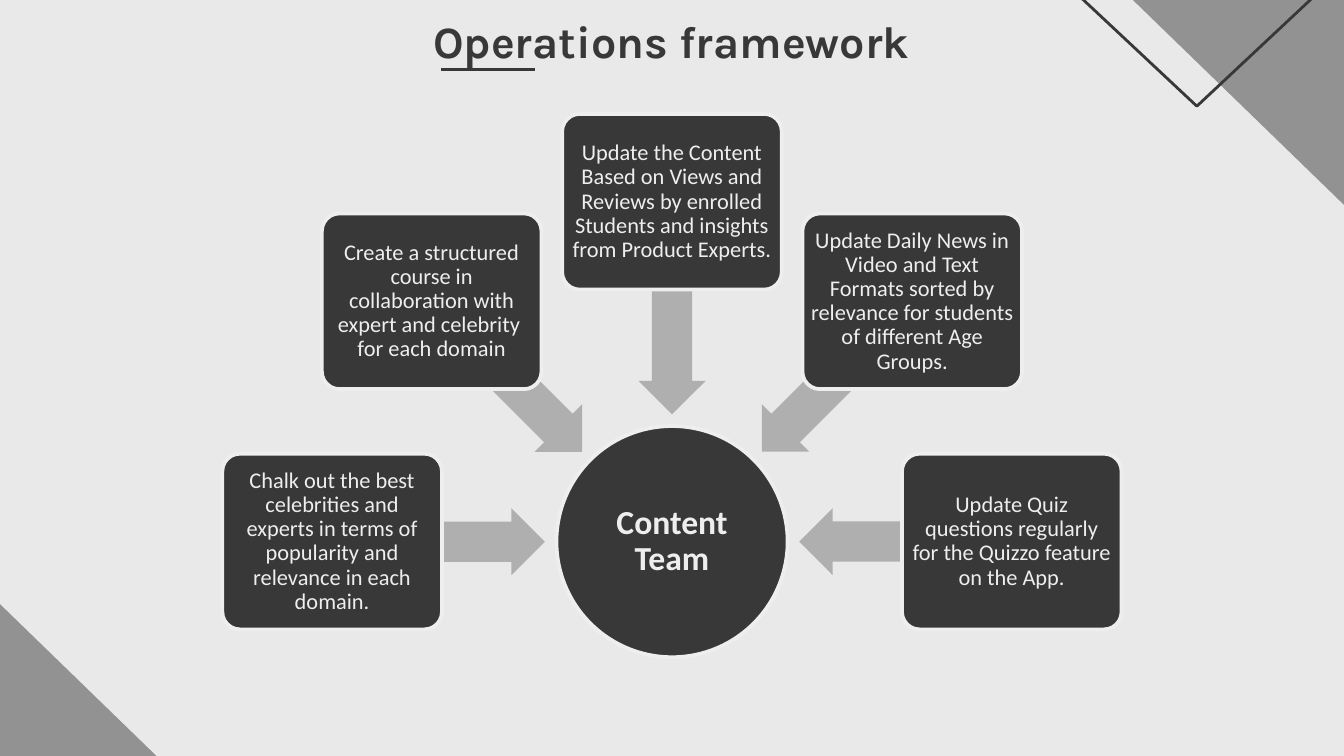
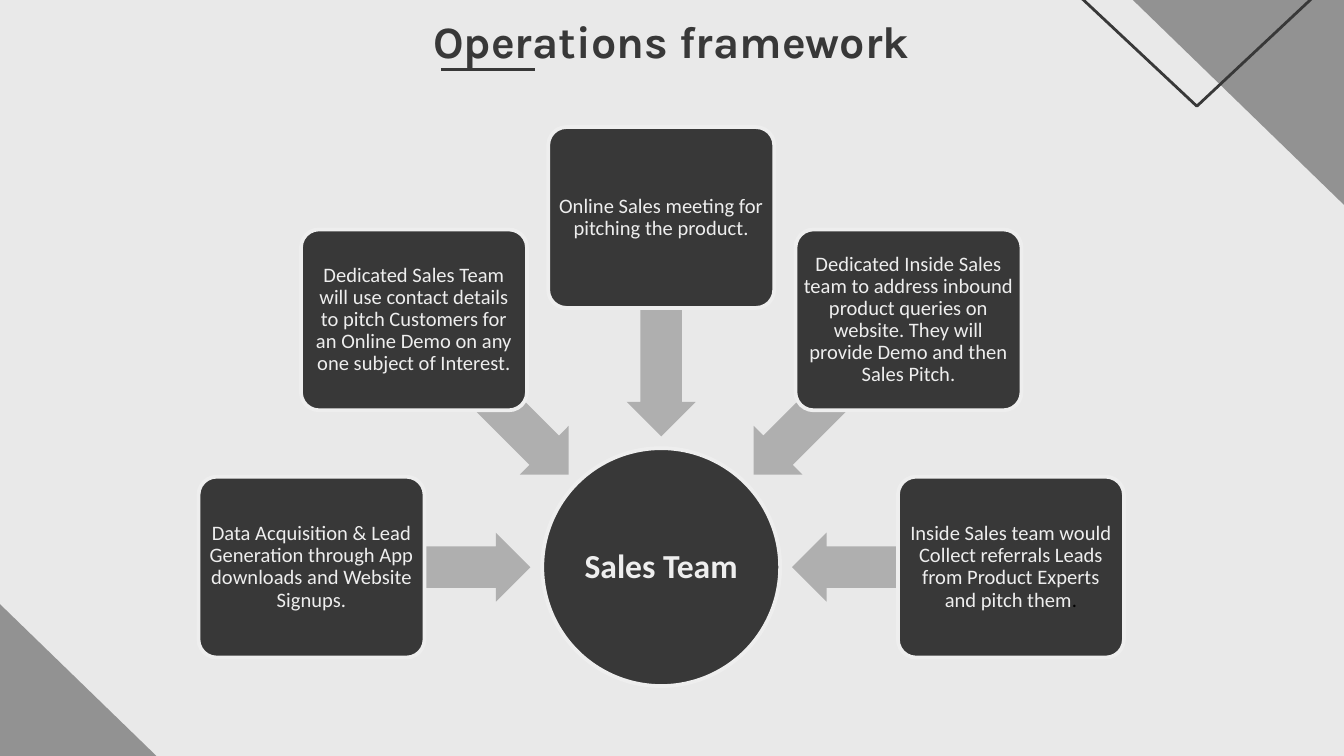
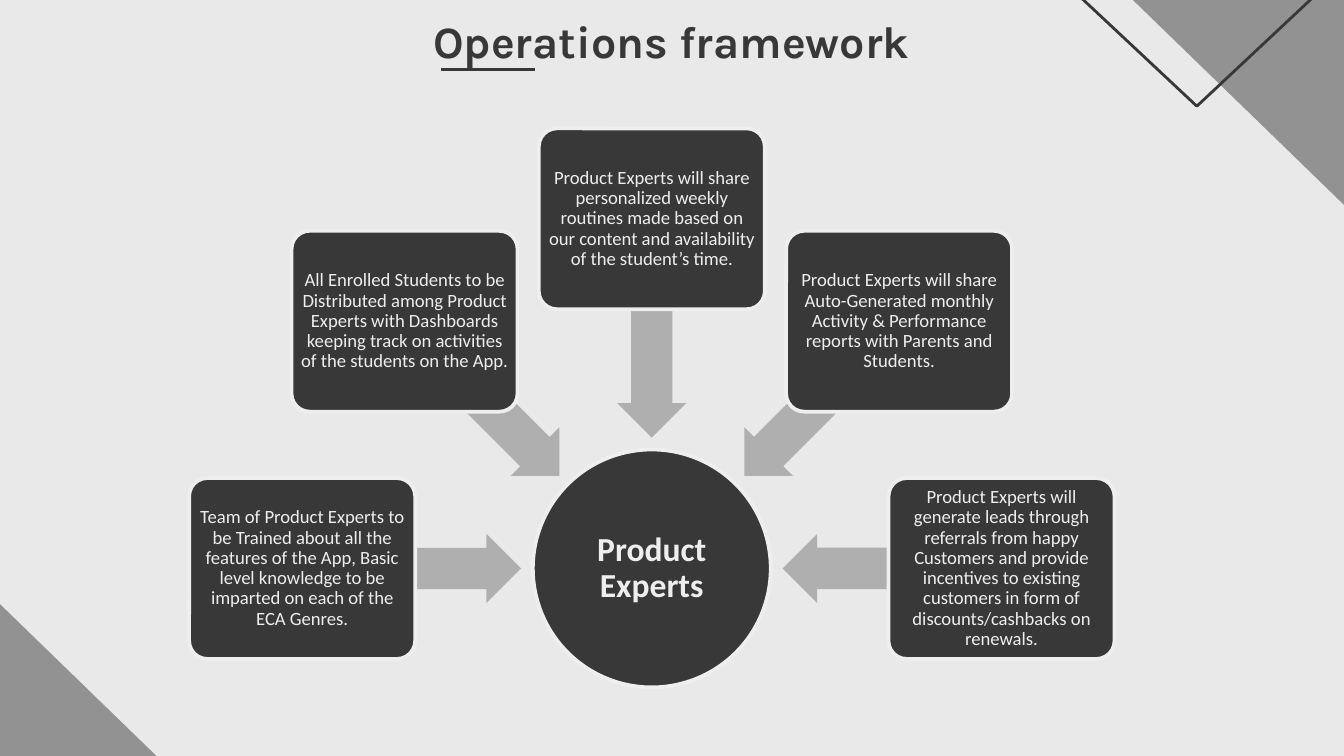
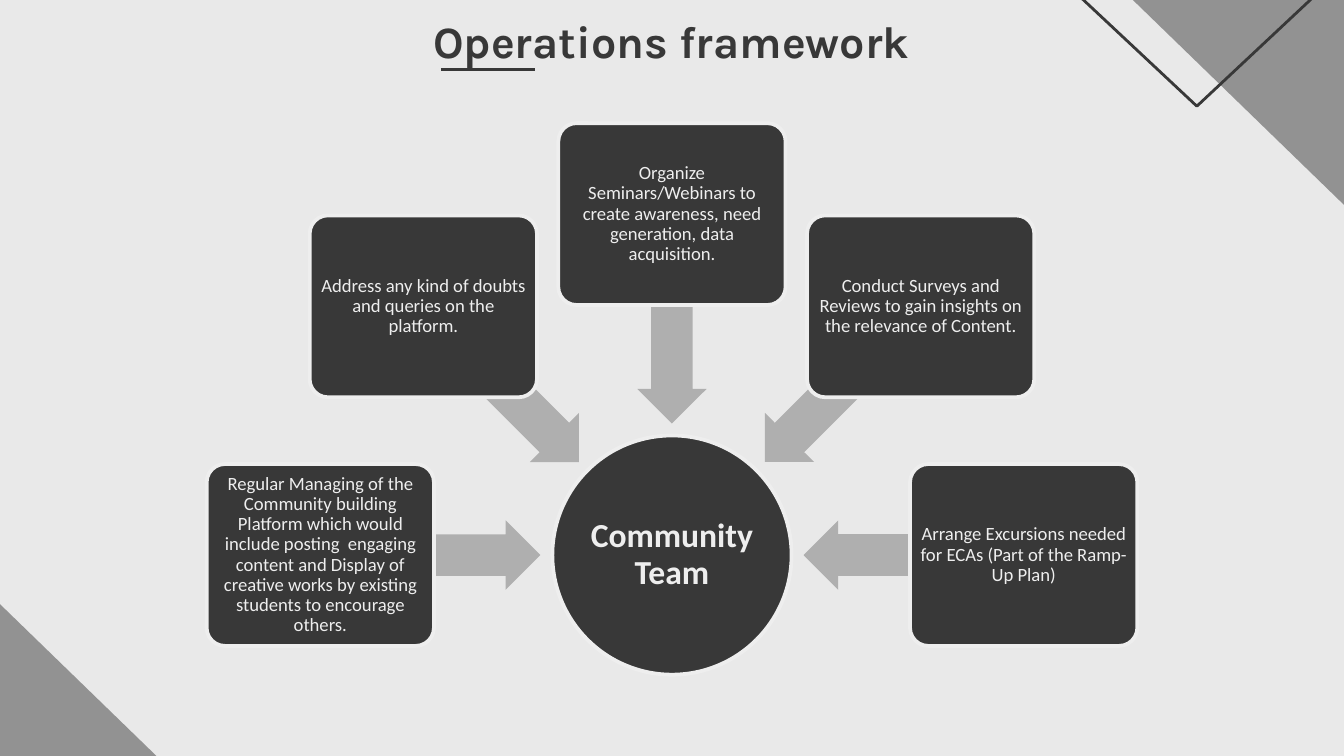
from dataclasses import dataclass
from math import cos, radians, sin

from lxml.etree import SubElement
from pptx import Presentation
from pptx.dml.color import RGBColor as Rgb
from pptx.enum.shapes import MSO_CONNECTOR as Conn, MSO_SHAPE as Kind
from pptx.enum.text import MSO_ANCHOR as Anchor, MSO_AUTO_SIZE as Fit, PP_ALIGN as Align
from pptx.oxml.ns import qn
from pptx.util import Inches, Pt


@dataclass(frozen=True)
class Theme:
    back: str = "E9E9E9"
    dark: str = "383838"
    light: str = "EEEEEE"
    corner: str = "929292"
    arrow: str = "AFAFAF"
    black: str = "000000"
    head: str = "Karla"
    body: str = "Calibri"
    title_pt: int = 24
    hub_pt: int = 18
    rule_pt: float = 1.5
    edge_pt: float = 2


@dataclass(frozen=True)
class Team:
    name: str
    mid: tuple      # centre of the hub
    size: float     # diameter of the hub; the rest scales with it
    pt: int
    steps: tuple    # clockwise, from the left
    drop: float = 0  # how far the top box sits nearer to the hub
    tail: str = ""  # black ending of the last step


THEME = Theme()
TITLE = "Operations framework"

# Lengths as shares of the hub's diameter
REACH, GAP = 1.47, 1.01
BOX_W, BOX_H = 0.95, 0.76
ARROW_W, ARROW_H = 0.92, 0.29

TEAMS = (
    Team("Content Team", (5, 4.03), 1.72, 12, (
        "Chalk out the best celebrities and experts in terms of popularity and relevance in each domain.",
        "Create a structured course in collaboration with expert and celebrity  for each domain",
        "Update the Content Based on Views and Reviews by enrolled Students and insights from Product Experts.",
        "Update Daily News in Video and Text Formats sorted by relevance for students of different Age Groups.",
        "Update Quiz questions regularly for the Quizzo feature on the App.",
    )),
    Team("Sales Team", (4.92, 4.22), 1.77, 11, (
        "Data Acquisition & Lead Generation through App downloads and Website Signups.",
        "Dedicated Sales Team will use contact details to pitch Customers for an Online Demo on any one "
        "subject of Interest.",
        "Online Sales meeting for pitching the product.",
        "Dedicated Inside Sales team to address inbound product queries on website. They will provide Demo "
        "and then Sales Pitch.",
        "Inside Sales team would Collect referrals Leads from Product Experts and pitch them",
    ), tail="."),
    Team("Product Experts", (4.85, 4.23), 1.77, 10, (
        "Team of Product Experts to be Trained about all the features of the App, Basic level knowledge to "
        "be imparted on each of the ECA Genres.",
        "All Enrolled Students to be Distributed among Product Experts with Dashboards keeping track on "
        "activities of the students on the App.",
        "Product Experts will share personalized weekly routines made based on our content and "
        "availability of the student’s time.",
        "Product Experts will share Auto-Generated monthly Activity & Performance reports with Parents "
        "and Students.",
        "Product Experts will generate leads through referrals from happy Customers and provide incentives "
        "to existing customers in form of discounts/cashbacks on renewals.",
    )),
    Team("Community Team", (5, 4.13), 1.78, 10, (
        "Regular Managing of the Community building Platform which would include posting  engaging content "
        "and Display of creative works by existing students to encourage others.",
        "Address any kind of doubts and queries on the platform.",
        "Organize Seminars/Webinars to create awareness, need generation, data acquisition.",
        "Conduct Surveys and Reviews to gain insights on the relevance of Content.",
        "Arrange Excursions needed for ECAs (Part of the Ramp-Up Plan)",
    ), drop=0.08),
)


def tint(hue):
    return Rgb.from_string(hue)


def pad(frame, inset):
    frame.margin_left = frame.margin_right = Inches(inset)
    frame.margin_top = frame.margin_bottom = Inches(inset)


def style(run, face, pt, hue, bold=False):
    font = run.font
    font.name, font.size, font.bold = face, Pt(pt), bold
    font.color.rgb = tint(hue)


def add_part(slide, kind, box, fill=None, line=None, width=0, turn=0):
    part = slide.shapes.add_shape(kind, *map(Inches, box))
    part.shadow.inherit = False
    part.rotation = turn
    if fill:
        part.fill.solid()
        part.fill.fore_color.rgb = tint(fill)
    else:
        part.fill.background()
    if line:
        part.line.color.rgb = tint(line)
        part.line.width = Pt(width)
    else:
        part.line.fill.background()
    return part


def around(x, y, wide, high):
    """Frame of the given size about a centre."""
    return x - wide / 2, y - high / 2, wide, high


def add_node(slide, kind, box, text, pt, bold=False):
    """Dark shape with a light edge and centred text."""
    node = add_part(slide, kind, box, THEME.dark, THEME.light, THEME.edge_pt)
    frame = node.text_frame
    frame.text, frame.word_wrap = text, True
    frame.vertical_anchor = Anchor.MIDDLE
    pad(frame, 0.01 if bold else 0.02)
    para = frame.paragraphs[0]
    para.alignment, para.line_spacing = Align.CENTER, 0.9
    style(para.runs[0], THEME.body, pt, THEME.light, bold)
    return node


def add_decor(slide):
    """Corner triangles and the outlined wedge."""
    add_part(slide, Kind.RIGHT_TRIANGLE, (-1.84, 2.71, 3.72, 3.61), THEME.corner)
    add_part(slide, Kind.RIGHT_TRIANGLE, (7.1, -1.29, 3.72, 3.61), THEME.corner, turn=180)
    add_part(slide, Kind.ISOSCELES_TRIANGLE, (5.97, -1.96, 5.87, 2.75),
             line=THEME.dark, width=THEME.rule_pt, turn=180)


def add_title(slide):
    title = slide.shapes.title
    title.left, title.top, title.width, title.height = map(Inches, (0.78, 0, 8.43, 0.63))
    frame = title.text_frame
    frame.text, frame.auto_size = TITLE, Fit.NONE
    frame.vertical_anchor = Anchor.TOP
    pad(frame, 0.1)
    frame.paragraphs[0].alignment = Align.CENTER
    style(frame.paragraphs[0].runs[0], THEME.head, THEME.title_pt, THEME.dark, True)

    # Rule below the title
    rule = slide.shapes.add_connector(Conn.STRAIGHT, *map(Inches, (3.28, 0.52, 3.98, 0.52)))
    rule.line.color.rgb = tint(THEME.dark)
    rule.line.width = Pt(THEME.rule_pt)
    SubElement(rule._element.spPr, qn("a:effectLst"))


def add_wheel(slide, team):
    """Hub with five boxes on a half circle, each pointing at the hub."""
    (x, y), size = team.mid, team.size
    add_node(slide, Kind.OVAL, around(x, y, size, size), team.name, THEME.hub_pt, True)
    for i, step in enumerate(team.steps):
        turn = 180 + 45 * i
        dx, dy = cos(radians(turn)), sin(radians(turn))
        drop = team.drop if i == 2 else 0
        gap, reach = GAP * size - drop / 2, REACH * size - drop
        arrow = add_part(
            slide, Kind.LEFT_ARROW,
            around(x + gap * dx, y + gap * dy, ARROW_W * size - drop, ARROW_H * size),
            THEME.arrow, turn=turn % 360)
        arrow.adjustments[0], arrow.adjustments[1] = 0.6, 0.5
        node = add_node(
            slide, Kind.ROUNDED_RECTANGLE,
            around(x + reach * dx, y + reach * dy, BOX_W * size, BOX_H * size),
            step, team.pt)
        node.adjustments[0] = 0.1
    if team.tail:
        run = node.text_frame.paragraphs[0].add_run()
        run.text = team.tail
        style(run, THEME.body, team.pt, THEME.black)


def main():
    deck = Presentation()
    # Widescreen, 16 to 9
    deck.slide_width = Inches(10)
    deck.slide_height = deck.slide_width * 9 // 16
    fill = deck.slide_master.background.fill
    fill.solid()
    fill.fore_color.rgb = tint(THEME.back)
    for team in TEAMS:
        slide = deck.slides.add_slide(deck.slide_layouts[5])
        add_decor(slide)
        add_wheel(slide, team)
        add_title(slide)
    deck.save("out.pptx")


if __name__ == "__main__":
    main()
